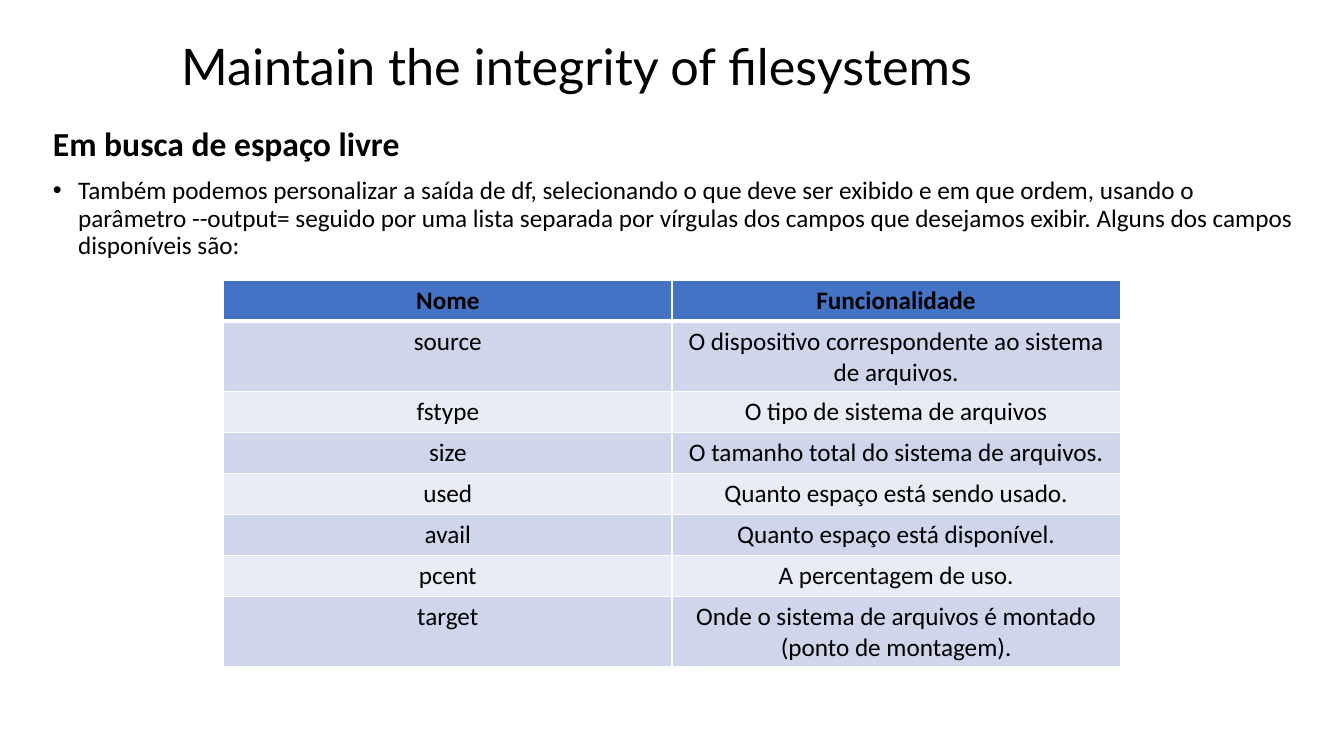
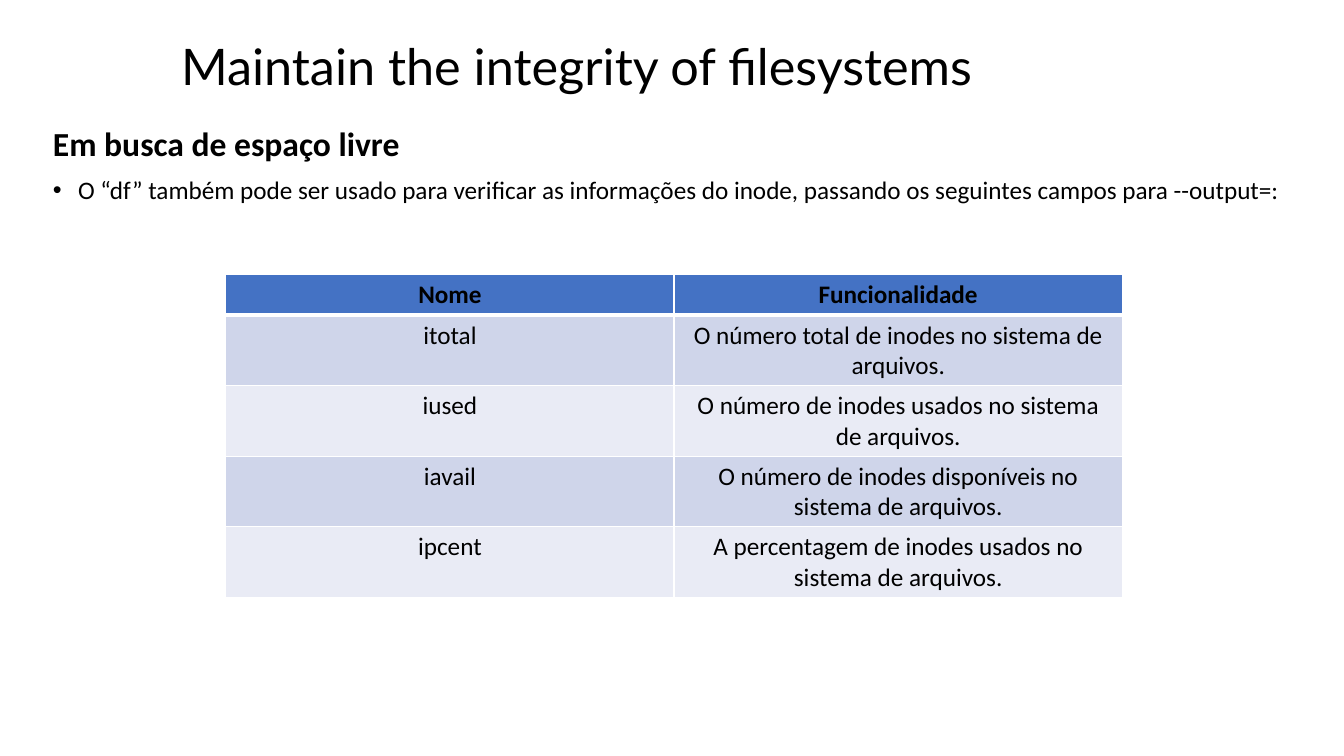
"""Build two slides on the output fields of df."""

from dataclasses import dataclass

from lxml import etree
from pptx import Presentation
from pptx.dml.color import RGBColor
from pptx.enum.text import MSO_ANCHOR, PP_ALIGN
from pptx.oxml.ns import qn
from pptx.util import Emu, Pt

EMU_PER_PX = 9525
CENTER, LEFT = PP_ALIGN.CENTER, PP_ALIGN.LEFT
TOP, MIDDLE = MSO_ANCHOR.TOP, MSO_ANCHOR.MIDDLE

BLACK = RGBColor(0x00, 0x00, 0x00)
WHITE = RGBColor(0xFF, 0xFF, 0xFF)
HEADER_BLUE = RGBColor(0x44, 0x72, 0xC4)
BANDS = (RGBColor(0xCF, 0xD5, 0xEA), RGBColor(0xE9, 0xEB, 0xF5))

TITLE_FONT, BODY_FONT = "Lato", "Calibri"
TITLE = "Maintain the integrity of filesystems"
HEADING = "Em busca de espaço livre"
HEADER = ("Nome", "Funcionalidade")

COLUMN_WIDTH, ROW_HEIGHT = 427, 39
BULLET_INDENT = 24
THIN, THICK = 1, 3


@dataclass(frozen=True)
class FieldPage:
    """Content of one slide and the place of its table."""

    intro: str
    table_left: int
    table_top: int
    fields: tuple[tuple[str, str], ...]


PAGES = (
    FieldPage(
        "Também podemos personalizar a saída de df, selecionando o que deve ser "
        "exibido e em que ordem, usando o parâmetro --output= seguido por uma lista "
        "separada por vírgulas dos campos que desejamos exibir. Alguns dos campos "
        "disponíveis são:",
        213,
        267,
        (
            ("source", "O dispositivo correspondente ao sistema de arquivos."),
            ("fstype", "O tipo de sistema de arquivos"),
            ("size", "O tamanho total do sistema de arquivos."),
            ("used", "Quanto espaço está sendo usado."),
            ("avail", "Quanto espaço está disponível."),
            ("pcent", "A percentagem de uso."),
            ("target", "Onde o sistema de arquivos é montado (ponto de montagem)."),
        ),
    ),
    FieldPage(
        "O “df” também pode ser usado para verificar as informações do inode, "
        "passando os seguintes campos para --output=:",
        215,
        261,
        (
            ("itotal", "O número total de inodes no sistema de arquivos."),
            ("iused", "O número de inodes usados no sistema de arquivos."),
            ("iavail", "O número de inodes disponíveis no sistema de arquivos."),
            ("ipcent", "A percentagem de inodes usados no sistema de arquivos."),
        ),
    ),
)


def px(length: int) -> Emu:
    """Turn pixels into EMU."""
    return Emu(length * EMU_PER_PX)


def add_bullet(para) -> None:
    """Give a paragraph a hanging round bullet."""
    properties = para._p.get_or_add_pPr()
    properties.set("marL", str(px(BULLET_INDENT)))
    properties.set("indent", str(px(-BULLET_INDENT)))
    etree.SubElement(properties, qn("a:buFont")).set("typeface", "Arial")
    etree.SubElement(properties, qn("a:buChar")).set("char", "•")


def write(para, text: str, *, size: int = 18, font: str = BODY_FONT,
          bold: bool = False, align=LEFT, line: float = 1.0,
          before: int = 0, bullet: bool = False) -> None:
    """Write one formatted paragraph."""
    if bullet:
        add_bullet(para)
    para.alignment = align
    para.line_spacing = line
    para.space_before = Pt(before)
    span = para.add_run()
    span.text = text
    span.font.size = Pt(size)
    span.font.name = font
    span.font.bold = bold
    span.font.color.rgb = BLACK


def add_frame(page, left: int, top: int, width: int, height: int, anchor=TOP):
    """Add a wrapping text box and return its text frame."""
    box = page.shapes.add_textbox(px(left), px(top), px(width), px(height))
    frame = box.text_frame
    frame.word_wrap = True
    frame.vertical_anchor = anchor
    return frame


def set_borders(cell, top: int, bottom: int) -> None:
    """Draw white borders on the four sides of a cell."""
    properties = cell._tc.get_or_add_tcPr()
    sides = (("lnL", THIN), ("lnR", THIN), ("lnT", top), ("lnB", bottom))
    for index, (side, points) in enumerate(sides):
        border = etree.Element(qn(f"a:{side}"), w=str(Pt(points)))
        fill = etree.SubElement(border, qn("a:solidFill"))
        etree.SubElement(fill, qn("a:srgbClr")).set("val", str(WHITE))
        properties.insert(index, border)


def add_field_table(page, content: FieldPage) -> None:
    """Add the table of field names and their meaning."""
    rows = (HEADER, *content.fields)
    table = page.shapes.add_table(
        len(rows), len(HEADER), px(content.table_left), px(content.table_top),
        px(COLUMN_WIDTH * len(HEADER)), px(ROW_HEIGHT * len(rows)),
    ).table
    for column in table.columns:
        column.width = px(COLUMN_WIDTH)
    for row_index, texts in enumerate(rows):
        is_header = row_index == 0
        color = HEADER_BLUE if is_header else BANDS[(row_index - 1) % len(BANDS)]
        table.rows[row_index].height = px(ROW_HEIGHT)
        for column_index, text in enumerate(texts):
            cell = table.cell(row_index, column_index)
            cell.fill.solid()
            cell.fill.fore_color.rgb = color
            set_borders(cell, top=THICK if row_index == 1 else THIN,
                        bottom=THICK if is_header else THIN)
            write(cell.text_frame.paragraphs[0], text, bold=is_header, align=CENTER)


def add_field_page(deck, content: FieldPage) -> None:
    """Add one slide with title, introduction and table."""
    page = deck.slides.add_slide(deck.slide_layouts[6])
    title = add_frame(page, 163, 25, 1078, 81, anchor=MIDDLE)
    write(title.paragraphs[0], TITLE, size=36, font=TITLE_FONT, line=0.9)
    body = add_frame(page, 41, 117, 1200, 596)
    write(body.paragraphs[0], HEADING, size=24, bold=True, line=0.9)
    write(body.add_paragraph(), content.intro, line=0.9, before=10, bullet=True)
    add_field_table(page, content)


def main() -> None:
    """Build and save the deck."""
    deck = Presentation()
    deck.slide_width, deck.slide_height = px(1280), px(720)
    for content in PAGES:
        add_field_page(deck, content)
    deck.save("out.pptx")


if __name__ == "__main__":
    main()
